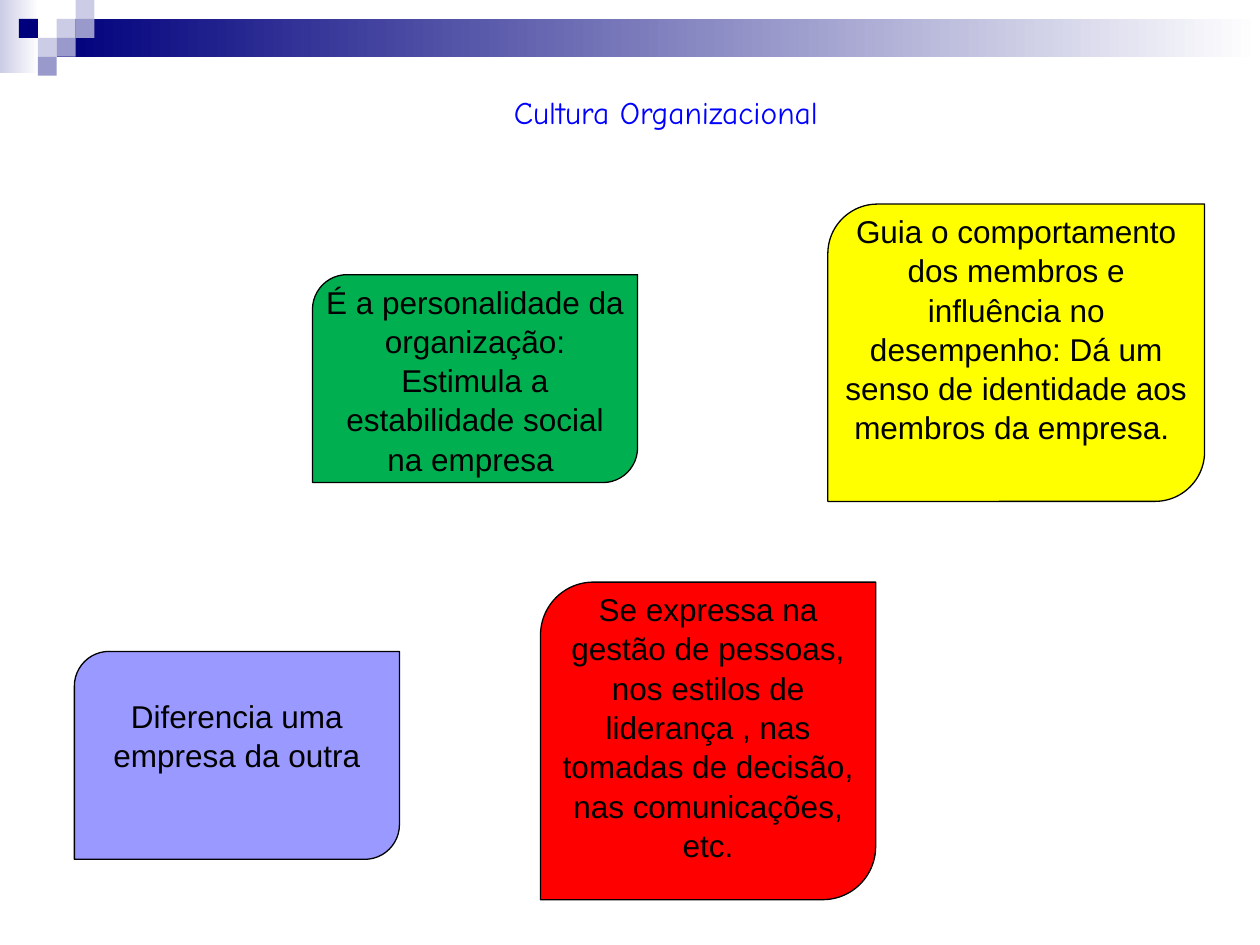
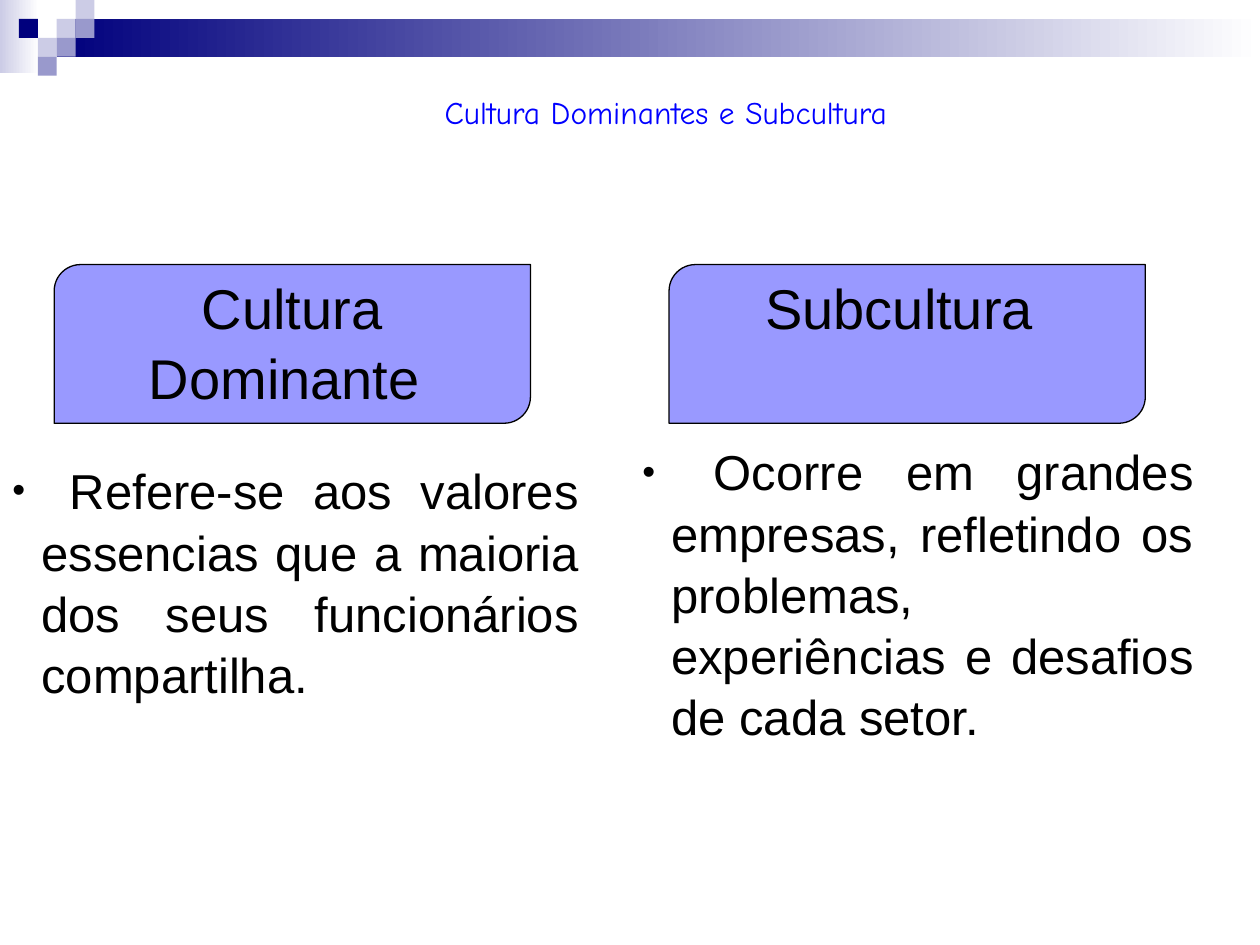
from dataclasses import dataclass

from lxml import etree
from pptx import Presentation
from pptx.dml.color import RGBColor
from pptx.enum.shapes import MSO_SHAPE as Preset
from pptx.enum.text import MSO_ANCHOR as Anchor, PP_ALIGN as Align
from pptx.oxml.ns import qn
from pptx.util import Inches, Pt


@dataclass(frozen=True)
class Theme:
    navy: str = "00007D"
    lilac: str = "9999CC"
    pale: str = "CCCCE6"
    white: str = "FFFFFF"
    black: str = "000000"
    title_blue: str = "0000FF"
    periwinkle: str = "9999FF"
    green: str = "00B050"
    yellow: str = "FFFF00"
    red: str = "FF0000"
    title_font: str = "Comic Neue"
    body_font: str = "Arial"
    small: int = 18
    body: int = 28
    heading: int = 32
    line_spacing: float = 1.04


THEME = Theme()
SQUARE = 0.15
# column, row and colour of each square in the corner mosaic
MOSAIC = [
    (3, 1, THEME.pale), (4, 0, THEME.pale), (4, 1, THEME.lilac),
    (2, 2, THEME.pale), (1, 1, THEME.navy), (3, 2, THEME.lilac),
    (2, 3, THEME.lilac),
]
# share of the shorter side that a rounded corner takes from the text area
CORNER_INSET = 0.29 / 6


def rgb(color):
    return RGBColor.from_string(color)


class SlideBuilder:
    def __init__(self, deck, theme):
        self.deck = deck
        self.theme = theme
        self.page = None

    def new_page(self, title):
        self.page = self.deck.slides.add_slide(self.deck.slide_layouts[6])
        self.band()
        self.title(title)

    def shape(self, preset, left, top, width, height):
        shape = self.page.shapes.add_shape(
            preset, Inches(left), Inches(top), Inches(width), Inches(height))
        shape.shadow.inherit = False
        return shape

    def rectangle(self, left, top, width, height, color, fade=False):
        shape = self.shape(Preset.RECTANGLE, left, top, width, height)
        shape.line.fill.background()
        if fade:
            shape.fill.gradient()
            shape.fill.gradient_angle = 0
            for stop, shade in zip(shape.fill.gradient_stops, (color, self.theme.white)):
                stop.color.rgb = rgb(shade)
        else:
            shape.fill.solid()
            shape.fill.fore_color.rgb = rgb(color)

    def band(self):
        self.rectangle(0, 0, 0.31, 0.58, self.theme.pale, fade=True)
        self.rectangle(0.45, 0.15, 9.55, 0.3, self.theme.navy, fade=True)
        for column, row, color in MOSAIC:
            self.rectangle(column * SQUARE, row * SQUARE, SQUARE, SQUARE, color)

    def set_text(self, frame, text, size, align, font=None, color=None):
        frame.vertical_anchor = Anchor.TOP
        para = frame.paragraphs[0]
        para.text = text
        para.alignment = align
        para.line_spacing = self.theme.line_spacing
        para.font.size = Pt(size)
        para.font.name = font or self.theme.body_font
        para.font.color.rgb = rgb(color or self.theme.black)
        return para

    def text_box(self, left, top, width, height, wrap=True):
        box = self.page.shapes.add_textbox(
            Inches(left), Inches(top), Inches(width), Inches(height))
        box.text_frame.word_wrap = wrap
        return box.text_frame

    def title(self, text):
        frame = self.text_box(2.16, 0.68, 6.25, 0.71, wrap=False)
        para = self.set_text(frame, text, self.theme.small, Align.CENTER,
                             self.theme.title_font, self.theme.title_blue)
        outline = etree.Element(qn("a:ln"), w=str(Pt(1.5)))
        fill = etree.SubElement(outline, qn("a:solidFill"))
        etree.SubElement(fill, qn("a:srgbClr"), val=self.theme.black)
        para.runs[0]._r.get_or_add_rPr().insert(0, outline)

    def card(self, left, top, width, height, color, text, size, drop=0):
        """Box with two opposite round corners; drop lowers its text."""
        shape = self.shape(Preset.ROUND_2_DIAG_RECTANGLE, left, top, width, height)
        shape.fill.solid()
        shape.fill.fore_color.rgb = rgb(color)
        shape.line.color.rgb = rgb(self.theme.black)
        shape.line.width = Pt(0.75)
        frame = shape.text_frame
        frame.word_wrap = True
        corner = CORNER_INSET * min(width, height)
        frame.margin_left = frame.margin_right = Inches(0.1 - corner)
        frame.margin_top = Inches(0.05 - corner + drop)
        frame.margin_bottom = Inches(0.05 - corner)
        self.set_text(frame, text, size, Align.CENTER)

    def bullet(self, left, top, width, height, text):
        frame = self.text_box(left, top, width, height)
        para = self.set_text(frame, text, self.theme.body, Align.JUSTIFY)
        properties = para._p.get_or_add_pPr()
        hanging = Inches(0.23)
        properties.set("marL", str(hanging))
        properties.set("indent", str(-hanging))
        marker_color = etree.Element(qn("a:buClr"))
        etree.SubElement(marker_color, qn("a:srgbClr"), val=self.theme.black)
        marker_size = etree.Element(qn("a:buSzPct"), val="75000")
        marker_font = etree.Element(qn("a:buFont"), typeface=self.theme.body_font)
        marker = etree.Element(qn("a:buChar"), char="•")
        defaults = properties.find(qn("a:defRPr"))
        for element in (marker_color, marker_size, marker_font, marker):
            defaults.addprevious(element)


def culture_page(builder):
    theme = builder.theme
    builder.new_page("Cultura Organizacional")
    builder.card(2.48, 2.18, 2.58, 1.65, theme.green,
                 "É a personalidade da organização: Estimula a estabilidade "
                 "social na empresa ", theme.small)
    builder.card(6.57, 1.62, 2.99, 2.36, theme.yellow,
                 "Guia o comportamento dos membros e influência no desempenho: "
                 "Dá um senso de identidade aos membros da empresa. ", theme.small)
    builder.card(4.29, 4.62, 2.66, 2.52, theme.red,
                 "Se expressa na gestão de pessoas, nos estilos de liderança , "
                 "nas tomadas de decisão, nas comunicações, etc.", theme.small)
    builder.card(0.59, 5.17, 2.58, 1.65, theme.periwinkle,
                 "Diferencia uma empresa da outra", theme.small, drop=0.3)


def subculture_page(builder):
    theme = builder.theme
    builder.new_page("Cultura Dominantes e Subcultura")
    for left, heading in ((0.43, "Cultura Dominante "), (5.31, "Subcultura ")):
        builder.card(left, 2.1, 3.78, 1.26, theme.periwinkle, heading, theme.heading)
    builder.bullet(0, 3.59, 4.69, 1.97,
                   " Refere-se aos valores essencias que a maioria dos seus "
                   "funcionários compartilha.")
    builder.bullet(5, 3.44, 4.57, 1.97,
                   " Ocorre em grandes empresas, refletindo os problemas, "
                   "experiências e desafios de cada setor. ")


def main():
    deck = Presentation()
    deck.slide_width, deck.slide_height = Inches(10), Inches(7.5)
    builder = SlideBuilder(deck, THEME)
    culture_page(builder)
    subculture_page(builder)
    deck.save("out.pptx")


if __name__ == "__main__":
    main()
